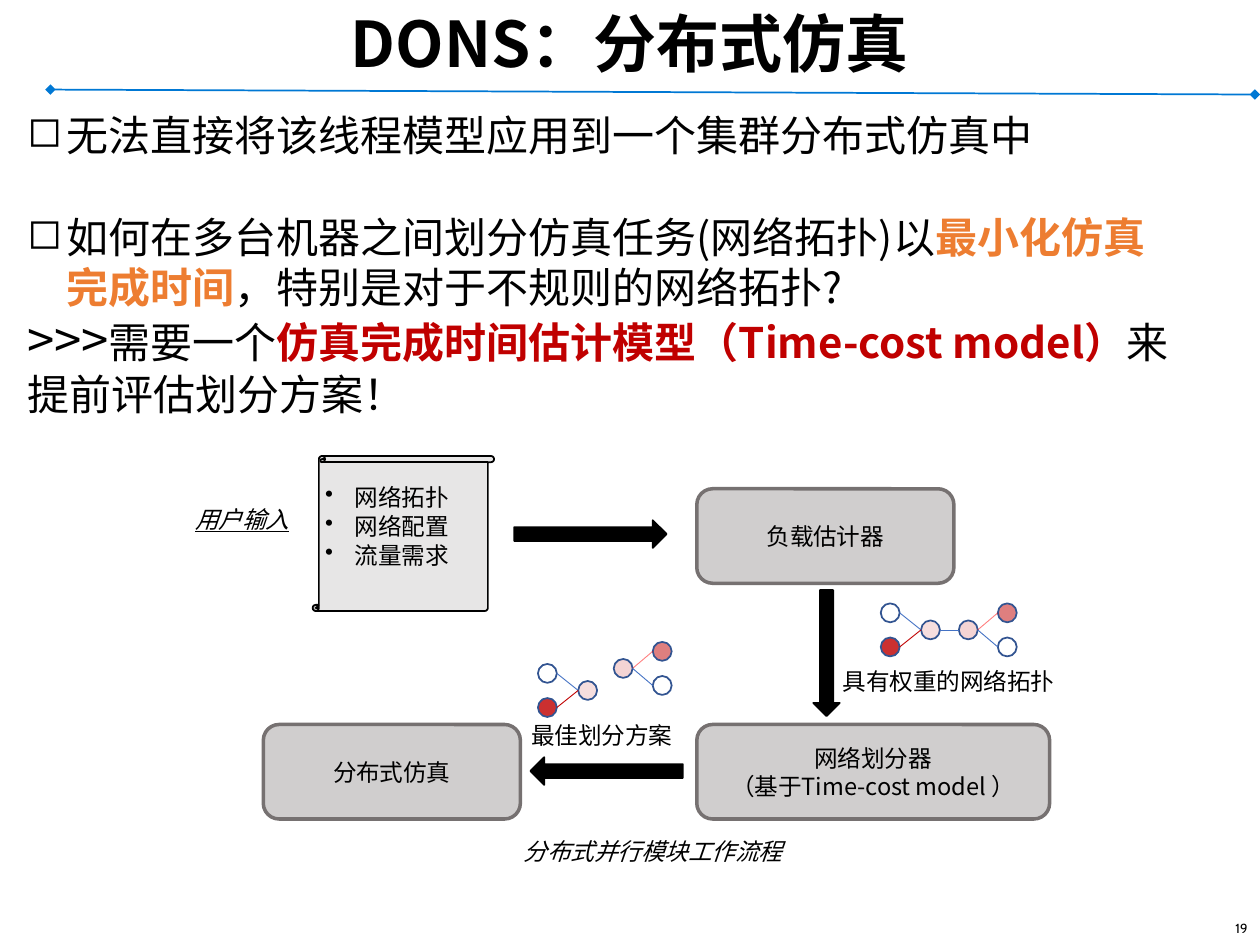
from dataclasses import dataclass

import pptx
import pptx.dml.color
import pptx.enum.shapes
import pptx.enum.text
import pptx.oxml.ns
import pptx.util
from lxml import etree

Pt = pptx.util.Pt
SHAPE = pptx.enum.shapes.MSO_SHAPE
ALIGN = pptx.enum.text.PP_ALIGN
ANCHOR = pptx.enum.text.MSO_ANCHOR
qn = pptx.oxml.ns.qn


@dataclass(frozen=True)
class Theme:
    cjk: str = "Noto Sans CJK SC"
    latin: str = "Cabin"
    black: str = "000000"
    orange: str = "ED7D31"
    red: str = "C00000"
    bright_red: str = "FF0000"
    rule: str = "0078D4"
    box_fill: str = "D0CECE"
    box_line: str = "767171"
    scroll: str = "E7E6E6"
    node_line: str = "325491"
    edge: str = "4472C4"
    title: float = 36
    prompt: float = 28
    body: float = 24
    label: float = 13.5
    number: float = 7.5


THEME = Theme()


def rgb(code):
    return pptx.dml.color.RGBColor.from_string(code)


def set_alpha(fill_parent, percent):
    color = fill_parent.find(".//" + qn("a:srgbClr"))
    etree.SubElement(color, qn("a:alpha"), val=str(percent * 1000))


def add_span(para, text, size=THEME.label, color=THEME.black, font=THEME.cjk,
             bold=False, italic=False, underline=False):
    span = para.add_run()
    span.text = text
    face = span.font
    face.size, face.bold, face.italic, face.underline = Pt(size), bold, italic, underline
    face.name = font
    face.color.rgb = rgb(color)
    east_asian = etree.Element(qn("a:ea"), typeface=THEME.cjk)
    span._r.rPr.find(qn("a:latin")).addnext(east_asian)


def add_para(frame, first=False, align=ALIGN.LEFT, pitch=16.5, before=0, bullet=None, indent=0):
    para = frame.paragraphs[0] if first else frame.add_paragraph()
    para.alignment = align
    para.line_spacing = Pt(pitch)
    para.space_before = Pt(before)
    if bullet:
        properties = para._p.get_or_add_pPr()
        properties.set("marL", str(Pt(indent)))
        properties.set("indent", str(-Pt(indent)))
        etree.SubElement(properties, qn("a:buChar"), char=bullet)
    return para


def add_frame(page, left, top, width, height, wrap=True, anchor=ANCHOR.TOP):
    frame = page.shapes.add_textbox(Pt(left), Pt(top), Pt(width), Pt(height)).text_frame
    frame.word_wrap = wrap
    frame.vertical_anchor = anchor
    return frame


def add_label(page, text, left, top, width, height, wrap=False, **style):
    frame = add_frame(page, left, top, width, height, wrap)
    add_span(add_para(frame, first=True), text, **style)


def add_block(page, kind, left, top, width, height, fill=None, line=THEME.black, weight=1):
    block = page.shapes.add_shape(kind, Pt(left), Pt(top), Pt(width), Pt(height))
    block.shadow.inherit = False
    if fill:
        block.fill.solid()
        block.fill.fore_color.rgb = rgb(fill)
    else:
        block.fill.background()
    block.line.color.rgb = rgb(line)
    block.line.width = Pt(weight)
    return block


def add_line(page, start, end, color, weight):
    line = page.shapes.add_connector(
        pptx.enum.shapes.MSO_CONNECTOR.STRAIGHT, *(Pt(value) for value in start + end))
    line.line.color.rgb = rgb(color)
    line.line.width = Pt(weight)
    etree.SubElement(line._element.spPr, qn("a:effectLst"))
    return line


def add_arrow(page, left, top, width, height, rotation=0):
    arrow = add_block(page, SHAPE.RIGHT_ARROW, left, top, width, height, THEME.black)
    arrow.rotation = rotation


def add_step(page, lines, left, top, width, height):
    step = add_block(page, SHAPE.ROUNDED_RECTANGLE, left, top, width, height,
                     THEME.box_fill, THEME.box_line, 2)
    frame = step.text_frame
    frame.word_wrap = True
    frame.vertical_anchor = ANCHOR.MIDDLE
    for index, text in enumerate(lines):
        add_span(add_para(frame, index == 0, ALIGN.CENTER), text)


def add_fan(page, left, top, width, height, hub_alpha, leaves, mirrored=False):
    """A hub joined to two leaves; each leaf is (node alpha, edge colour, edge alpha)."""
    size = 10.8
    hub_left, leaf_left = (left, left + width - size) if mirrored else (left + width - size, left)
    hub_edge, leaf_edge = (hub_left + size, leaf_left) if mirrored else (hub_left, leaf_left + size)
    middle = top + height / 2

    def add_node(node_left, node_top, alpha):
        node = add_block(page, SHAPE.OVAL, node_left, node_top, size, size,
                         THEME.red if alpha else None, THEME.node_line)
        if alpha:
            set_alpha(node._element.spPr.find(qn("a:solidFill")), alpha)

    add_node(hub_left, middle - size / 2, hub_alpha)
    for leaf_top, (alpha, color, edge_alpha) in zip((top, top + height - size), leaves):
        add_node(leaf_left, leaf_top, alpha)
        edge = add_line(page, (hub_edge, middle), (leaf_edge, leaf_top + size / 2), color, 0.5)
        if edge_alpha < 100:
            set_alpha(edge._element.spPr.find(qn("a:ln")), edge_alpha)


def add_fan_pair(page, left_origin, right_origin):
    add_fan(page, *left_origin, 33.8, 30.3, 13,
            [(0, THEME.edge, 100), (81, THEME.red, 100)])
    add_fan(page, *right_origin, 33.1, 30.3, 17,
            [(50, THEME.bright_red, 50), (0, THEME.edge, 100)], mirrored=True)


def add_title(page, left, top, width, height):
    frame = add_frame(page, left, top, width, height)
    add_span(add_para(frame, True, ALIGN.CENTER, 40), "DONS：分布式仿真", size=THEME.title, bold=True)
    rule = add_line(page, (left + 28.8, top + 49), (left + 717.1, top + 51.8), THEME.rule, 1)
    outline = rule.line._get_or_add_ln()
    for end in ("headEnd", "tailEnd"):
        etree.SubElement(outline, qn("a:" + end), type="diamond")


def add_body(page, left, top, width, height):
    frame = add_frame(page, left, top, width, height)
    size, pitch = THEME.body, 29
    bullet = dict(pitch=pitch, bullet="◻", indent=22.5)
    add_span(add_para(frame, True, **bullet), "无法直接将该线程模型应用到一个集群分布式仿真中", size=size)
    question = add_para(frame, before=pitch, **bullet)
    add_span(question, "如何在多台机器之间划分仿真任务(网络拓扑)以", size=size)
    add_span(question, "最小化仿真完成时间", size=size, color=THEME.orange, bold=True)
    add_span(question, "，特别是对于不规则的网络拓扑?", size=size)
    answer = add_para(frame, pitch=pitch, before=3)
    add_span(answer, ">>>", size=THEME.prompt)
    add_span(answer, "需要一个", size=size)
    add_span(answer, "仿真完成时间估计模型（Time-cost model）", size=size, color=THEME.red, bold=True)
    add_span(answer, "来提前评估划分方案！", size=size)


def add_inputs(page, left, top, width, height):
    scroll = add_block(page, SHAPE.VERTICAL_SCROLL, left, top, width, height, THEME.scroll)
    scroll.adjustments[0] = 0.04
    frame = add_frame(page, left, top + 11.5, 127.4, 56.2)
    for index, text in enumerate(("网络拓扑", "网络配置", "流量需求")):
        add_span(add_para(frame, index == 0, bullet="•", indent=16.9), text, font=THEME.latin)
    add_label(page, "用户输入", left - 74.2, top + 23.8, 69.8, 23.8, wrap=True,
              italic=True, underline=True)


def add_workflow(page, left, top):
    def at(x, y):
        return left + x, top + y

    # Steps and the arrows between them
    add_inputs(page, *at(28.2, 0), 103.7, 88.6)
    add_step(page, ["负载估计器"], *at(247.7, 18.7), 146.9, 54)
    add_step(page, ["网络划分器", "（基于Time-cost model ）"], *at(247.7, 153.4), 201.6, 54)
    add_step(page, ["分布式仿真"], *at(0, 153.4), 146.9, 54)
    add_arrow(page, *at(143.3, 36.7), 87.1, 15.8)
    add_arrow(page, *at(285.8, 105.1), 72, 15.1, 90)
    add_arrow(page, *at(152.6, 172.1), 87.1, 15.8, 180)
    # Weighted topology and its partition
    add_fan_pair(page, at(352.8, 84.2), at(397.4, 84.2))
    add_line(page, at(397.4, 99.4), at(386.6, 99.4), THEME.edge, 0.5)
    add_label(page, "具有权重的网络拓扑", *at(324, 116.6), 137.5, 23.8, font=THEME.latin)
    add_fan_pair(page, at(156.9, 118.8), at(200.2, 106.2))
    add_label(page, "最佳划分方案", *at(146.1, 147.6), 96.5, 23.8, font=THEME.latin)
    # Caption
    add_label(page, "分布式并行模块工作流程", *at(141.8, 213.8), 164.2, 23.8, italic=True)


def add_page_number(page, left, top, width, height):
    frame = add_frame(page, left, top, width, height, anchor=ANCHOR.MIDDLE)
    add_span(add_para(frame, True, ALIGN.RIGHT, 9), "19", size=THEME.number, font=THEME.latin)


def main():
    deck = pptx.Presentation()
    deck.slide_width, deck.slide_height = Pt(720), Pt(540)
    page = deck.slides.add_slide(deck.slide_layouts[6])
    add_page_number(page, 686.2, 521.3, 33.8, 18.7)
    add_body(page, 8.6, 59, 669.6, 216)
    add_title(page, 0, 2.2, 720, 136.8)
    add_workflow(page, 150.5, 260.6)
    deck.save("out.pptx")


if __name__ == "__main__":
    main()
